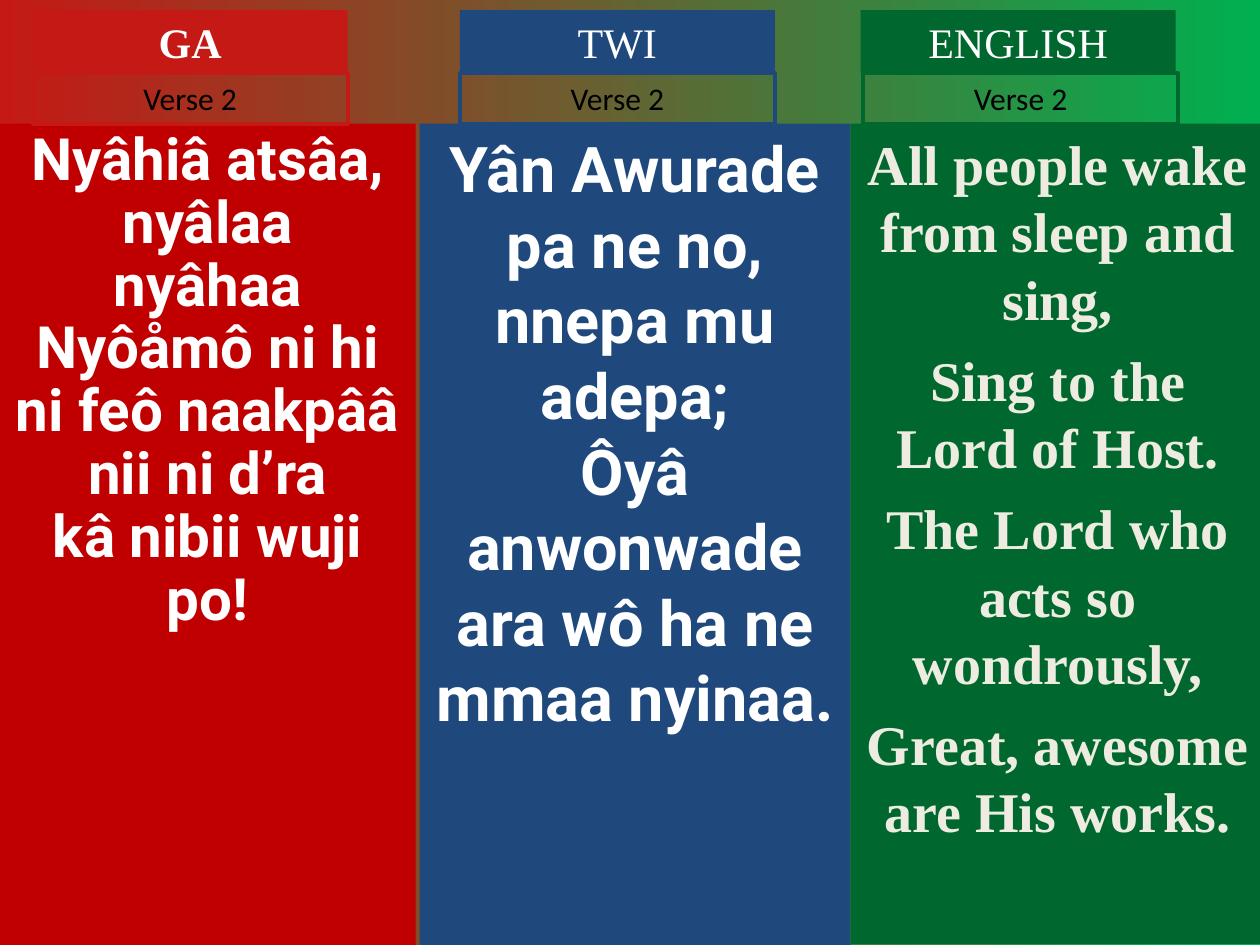
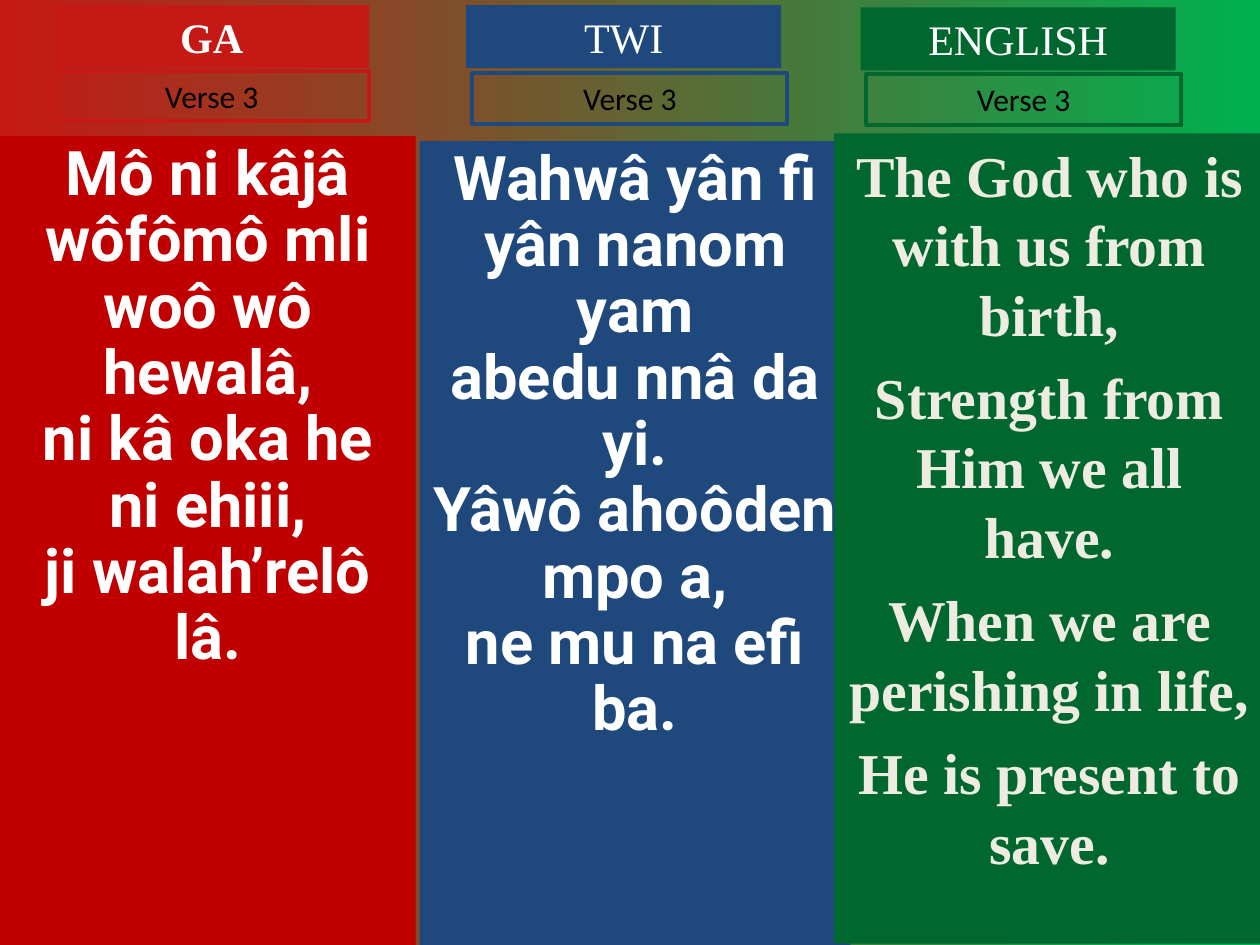
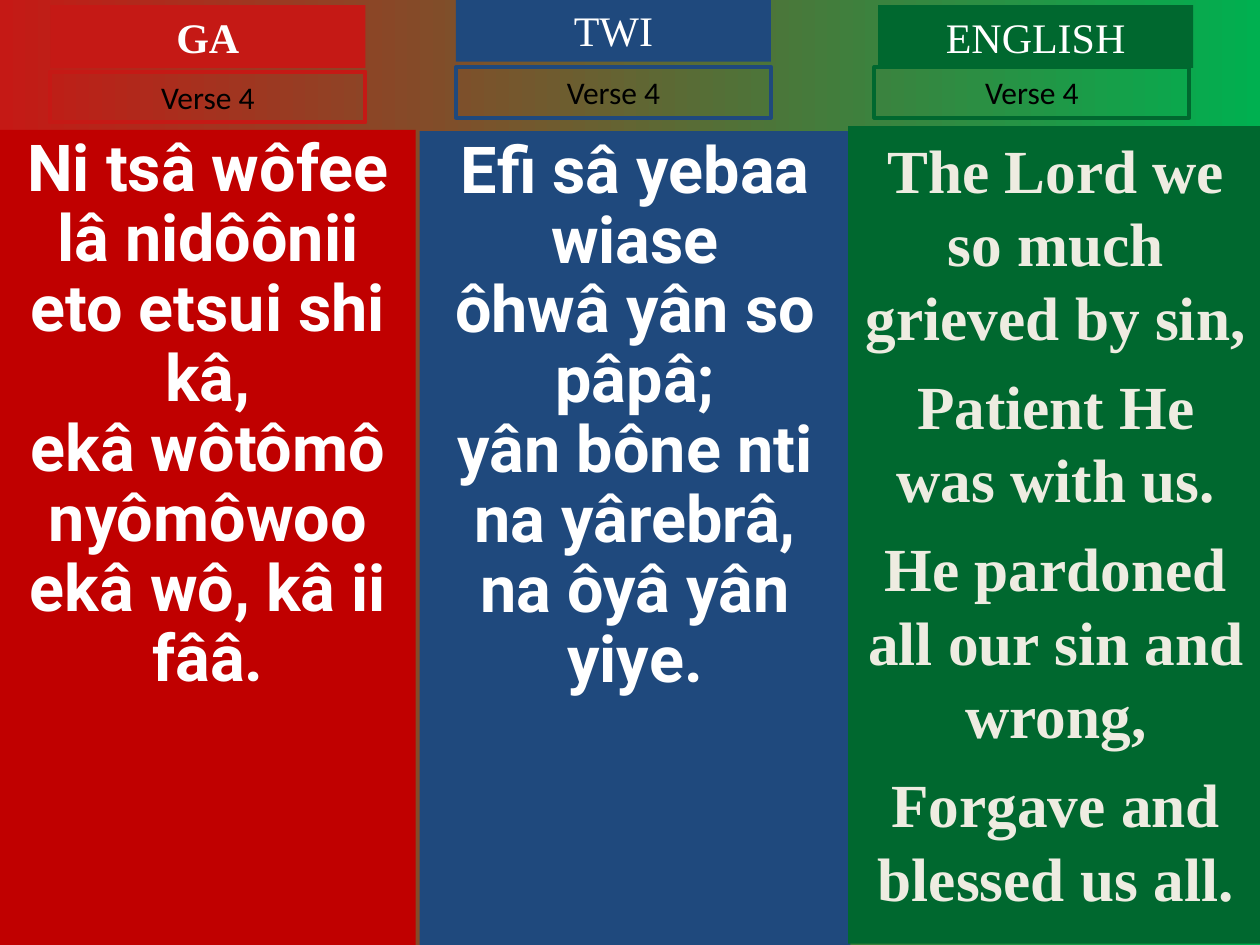
from collections import namedtuple
from dataclasses import dataclass
from pptx import Presentation
from pptx.dml.color import RGBColor as Rgb
from pptx.enum.shapes import MSO_SHAPE as Kind
from pptx.enum.text import MSO_ANCHOR as Anchor, PP_ALIGN as Align
from pptx.util import Pt


@dataclass(frozen=True)
class Theme:
    start: str = "C51915"
    end: str = "00B050"
    white: str = "FFFFFF"
    cream: str = "EEECE1"
    black: str = "000000"
    sans: str = "Roboto"
    serif: str = "Times New Roman"
    plain: str = "Calibri"
    tag: float = 24
    verse: float = 18
    rule: float = 2.25


THEME = Theme()
Box = namedtuple("Box", "left top width height")
Tongue = namedtuple("Tongue", "name panel tag font ink bold")
Part = namedtuple("Part", "panel tag verse size pitch gap lines")

TONGUES = [
    Tongue("GA", "C00000", "C51915", THEME.sans, THEME.white, True),
    Tongue("TWI", "1F497D", "1F497D", THEME.sans, THEME.white, False),
    Tongue("ENGLISH", "00682F", "00682F", THEME.serif, THEME.cream, False),
]

VERSES = {
    "Verse 2": [
        Part(Box(0, 70.6, 237.6, 469.4), (18.7, 5.8), (18.7, 41.8), 33.3, 0.9, 0, [
            "Nyâhiâ atsâa, nyâlaa",
            "nyâhaa Nyôåmô ni hi",
            "ni feô naakpââ nii ni d’ra",
            "kâ nibii wuji po!",
        ]),
        Part(Box(239.8, 70.6, 246.2, 469.4), (262.8, 5.8), (262.8, 41.8), 36, 1, 0, [
            "Yân Awurade pa ne no,",
            "nnepa mu adepa;",
            "Ôyâ anwonwade ara wô ha ne mmaa nyinaa.",
        ]),
        Part(Box(486, 70.6, 236.9, 468.7), (491.8, 5.8), (493.2, 41.8), 32, 1, 8, [
            "All people wake from sleep and sing,",
            "Sing to the Lord of Host.",
            "The Lord who acts so wondrously,",
            "Great, awesome are His works.",
        ]),
    ],
    "Verse 3": [
        Part(Box(0, 77.8, 237.6, 462.2), (31, 2.9), (31, 40.3), 35.1, 0.9, 0, [
            "Mô ni kâjâ wôfômô mli",
            "woô wô hewalâ,",
            "ni kâ oka he ni ehiii,",
            "ji walah’relô lâ.",
        ]),
        Part(Box(239.8, 80.6, 246.2, 459.4), (266.4, 2.9), (270, 41.8), 35.1, 0.9, 0, [
            "Wahwâ yân fi yân nanom yam",
            "abedu nnâ da yi.",
            "Yâwô ahoôden mpo a,",
            "ne mu na efi ba.",
        ]),
        Part(Box(476.6, 76.3, 246.2, 463), (491.8, 4.3), (495, 42.2), 33, 1, 8.2, [
            "The God who is with us from birth,",
            "Strength from Him we all have.",
            "When we are perishing in life,",
            "He is present to save.",
        ]),
    ],
    "Verse 4": [
        Part(Box(0, 74.2, 237.6, 465.8), (28.8, 2.9), (28.8, 41), 37, 0.9, 0, [
            "Ni tsâ wôfee lâ nidôônii",
            "eto etsui shi kâ,",
            "ekâ wôtômô nyômôwoo",
            "ekâ wô, kâ ii fââ.",
        ]),
        Part(Box(239.8, 74.9, 246.2, 465.1), (260.6, -0.7), (260.6, 38.2), 37, 0.9, 0, [
            "Efi sâ yebaa wiase",
            "ôhwâ yân so pâpâ;",
            "yân bône nti na yârebrâ,",
            "na ôyâ yân yiye.",
        ]),
        Part(Box(484.6, 72, 237.6, 467.3), (501.8, 2.9), (499.7, 38.2), 35, 1, 8.8, [
            "The Lord we so much grieved by sin,",
            "Patient He was with us.",
            "He pardoned all our sin and wrong,",
            "Forgave and blessed us all.",
        ]),
    ],
}


def tint(hue):
    return Rgb.from_string(hue)


def add_box(slide, box, fill=None, edge=None):
    shape = slide.shapes.add_shape(Kind.RECTANGLE, *map(Pt, box))
    shape.shadow.inherit = False
    if fill:
        shape.fill.solid()
        shape.fill.fore_color.rgb = tint(fill)
    else:
        shape.fill.background()
    if edge:
        shape.line.color.rgb = tint(edge)
        shape.line.width = Pt(THEME.rule)
    else:
        shape.line.fill.background()
    return shape


def write(shape, lines, font, size, ink, bold=False, pitch=1, gap=0):
    frame = shape.text_frame
    frame.word_wrap = True
    frame.vertical_anchor = Anchor.TOP
    for i, line in enumerate(lines):
        para = frame.paragraphs[0] if i == 0 else frame.add_paragraph()
        para.alignment = Align.CENTER
        para.line_spacing = pitch
        para.space_before = Pt(gap if i else 0)
        run = para.add_run()
        run.text = line
        run.font.name = font
        run.font.size = Pt(size)
        run.font.bold = bold
        run.font.color.rgb = tint(ink)


def add_panel(slide, tongue, part):
    shape = add_box(slide, part.panel, fill=tongue.panel)
    write(shape, part.lines, tongue.font, part.size, tongue.ink, True, part.pitch, part.gap)


def add_head(slide, tongue, part, title):
    tag = add_box(slide, Box(*part.tag, 180, 36), fill=tongue.tag)
    write(tag, [tongue.name], THEME.serif, THEME.tag, THEME.white, tongue.bold)
    verse = add_box(slide, Box(*part.verse, 180, 29), edge=tongue.tag)
    write(verse, [title], THEME.plain, THEME.verse, THEME.black)


def paint(slide):
    fill = slide.background.fill
    fill.gradient()
    fill.gradient_angle = 0
    for stop, hue, place in zip(fill.gradient_stops, (THEME.start, THEME.end), (0, 1)):
        stop.color.rgb = tint(hue)
        stop.position = place


def add_verse(deck, title, parts):
    slide = deck.slides.add_slide(deck.slide_layouts[6])
    paint(slide)
    for tongue, part in zip(TONGUES, parts):
        add_panel(slide, tongue, part)
    for tongue, part in zip(TONGUES, parts):
        add_head(slide, tongue, part, title)


def main():
    deck = Presentation()
    deck.slide_width, deck.slide_height = Pt(720), Pt(540)
    for title, parts in VERSES.items():
        add_verse(deck, title, parts)
    deck.save("out.pptx")


if __name__ == "__main__":
    main()
